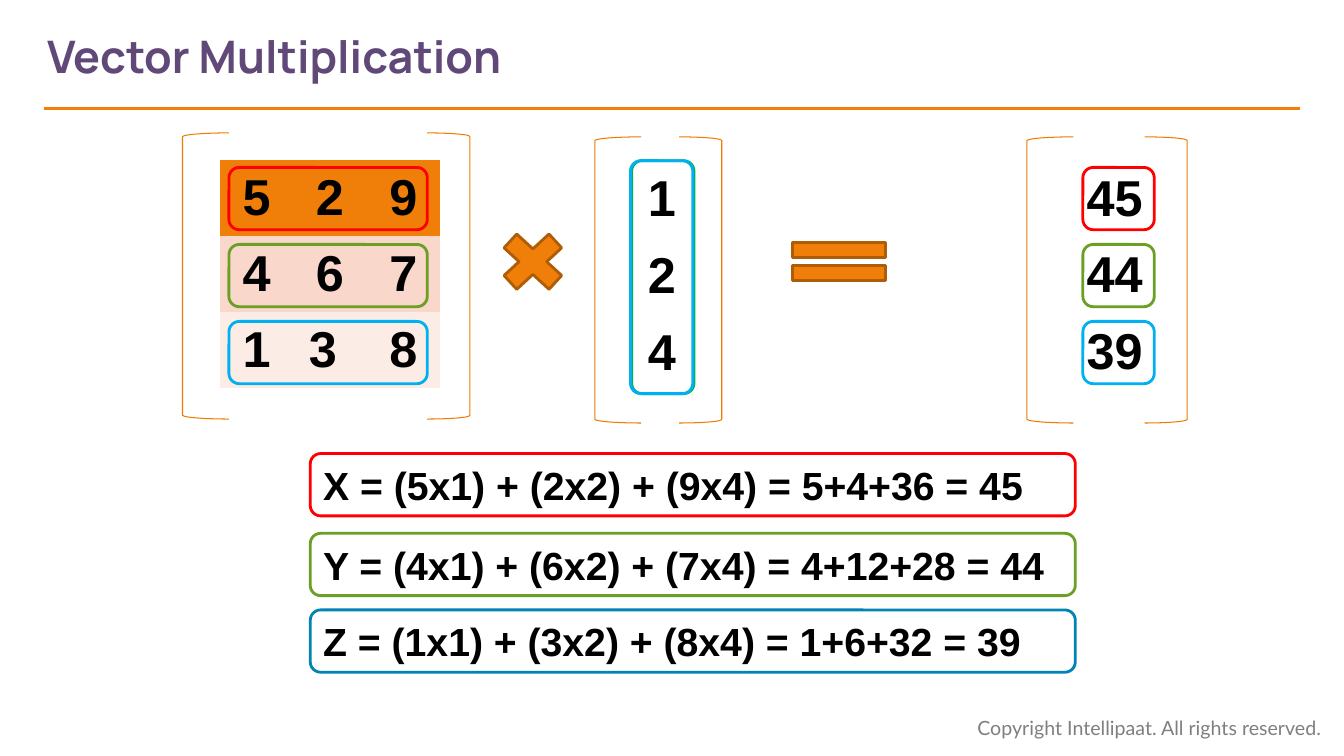
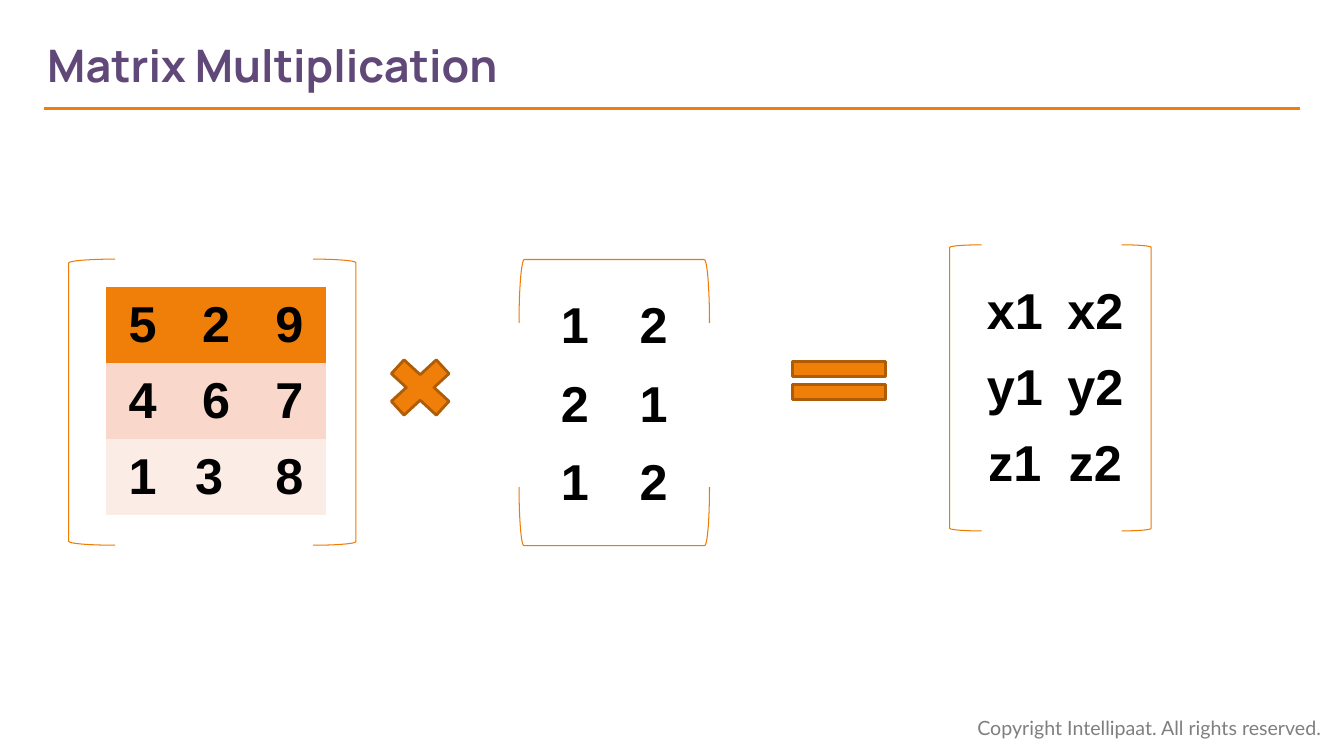
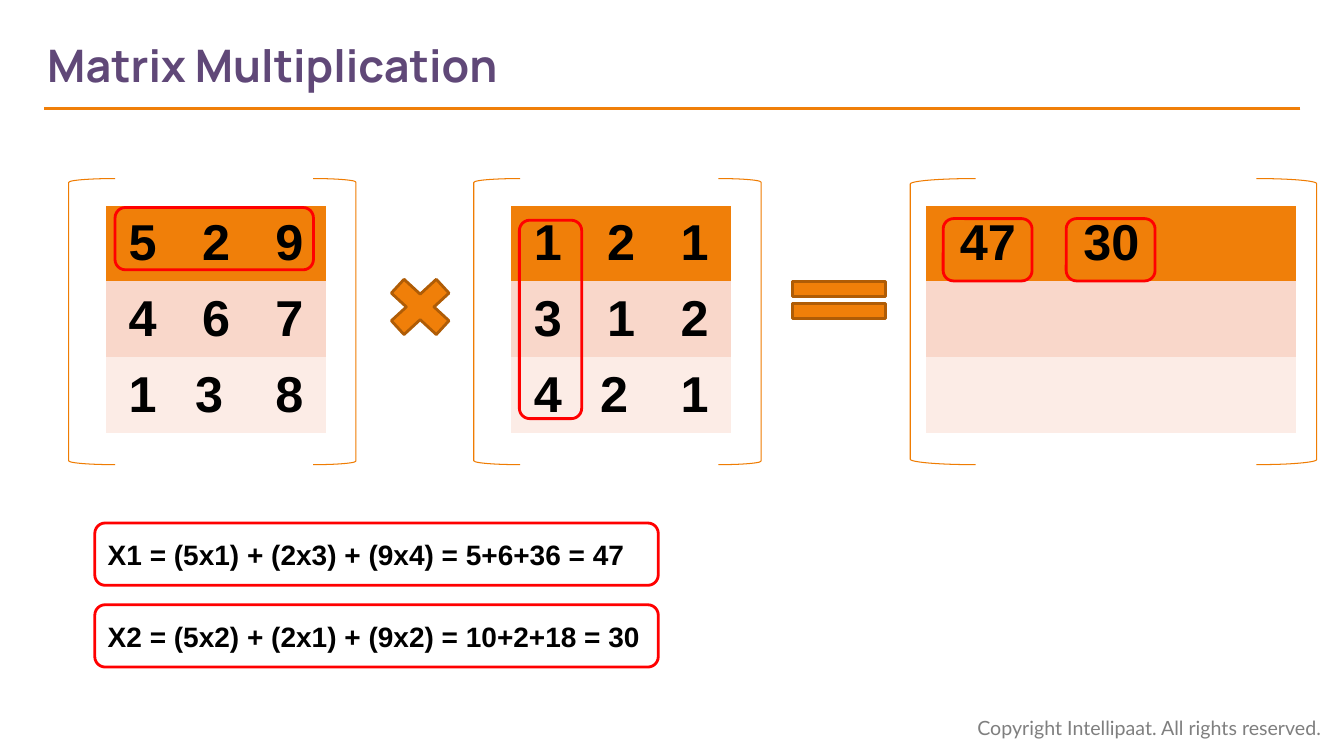
"""Build three slides that explain vector and matrix multiplication."""
from dataclasses import dataclass
from typing import Optional

from pptx import Presentation
from pptx.dml.color import RGBColor
from pptx.enum.shapes import MSO_CONNECTOR, MSO_SHAPE as Preset
from pptx.enum.text import MSO_ANCHOR as Anchor, MSO_AUTO_SIZE as AutoSize, PP_ALIGN as Align
from pptx.oxml.ns import qn
from pptx.oxml.xmlchemy import OxmlElement
from pptx.util import Cm, Pt

COLORS = {
    "title": "604878", "footer": "7F7F7F", "ink": "000000",
    "orange": "F07F09", "peach": "F9D7CA", "cream": "FCECE6",
    "bracket": "EF7C02", "operator edge": "AF5C06",
    "red": "FF0000", "olive": "6B9F25", "green": "00B050",
    "sky": "00B0F0", "teal": "0084B4",
}
SHADES = ("orange", "peach", "cream")
PLAIN_STYLE = "{2D5ABB26-0587-4C30-8999-92F81FD0307C}"
BRACKET_HEIGHT = 7.21
FRAME = 1.57
RIGHT_ARM_RATIO = 0.92
FACTOR = (("5", "2", "9"), ("4", "6", "7"), ("1", "3 ", "8"))


@dataclass(frozen=True)
class Brackets:
    left: float
    top: float
    width: float = 7.24
    arm: float = 1.17
    upright: bool = True


@dataclass(frozen=True)
class Matrix:
    left: float
    top: float
    rows: tuple
    brackets: Brackets
    column: float = 1.85
    row: float = 1.91
    shaded: bool = False


@dataclass(frozen=True)
class Frame:
    left: float
    top: float
    color: str = "red"
    width: float = FRAME
    height: float = FRAME
    equation: str = ""
    size: float = 28


@dataclass(frozen=True)
class Lesson:
    title: str
    title_top: float
    times: tuple
    equals: tuple
    matrices: tuple
    frames: tuple = ()


def rgb(name: str) -> RGBColor:
    return RGBColor.from_string(COLORS[name])


def write(target, text: str, *, size: float, font: str = "Arial", color: str = "ink",
          bold: bool = True, align=Align.LEFT) -> None:
    paragraph = target.paragraphs[0]
    paragraph.alignment = align
    run = paragraph.add_run()
    run.text = text
    run.font.name = font
    run.font.size = Pt(size)
    run.font.bold = bold
    run.font.color.rgb = rgb(color)


def draw(shapes, preset, left: float, top: float, width: float, height: float, *,
         line: str, weight: float = 2, fill: Optional[str] = None):
    outline = shapes.add_shape(preset, Cm(left), Cm(top), Cm(width), Cm(height))
    outline.shadow.inherit = False
    outline.line.color.rgb = rgb(line)
    outline.line.width = Pt(weight)
    if fill:
        outline.fill.solid()
        outline.fill.fore_color.rgb = rgb(fill)
    else:
        outline.fill.background()
    return outline


def draw_brackets(slide, pair: Brackets) -> None:
    shapes = slide.shapes.add_group_shape().shapes
    for preset, closing in ((Preset.LEFT_BRACKET, False), (Preset.RIGHT_BRACKET, True)):
        arm = pair.arm * RIGHT_ARM_RATIO if closing else pair.arm
        if pair.upright:
            left = pair.left + pair.width - arm if closing else pair.left
            draw(shapes, preset, left, pair.top, arm, BRACKET_HEIGHT,
                 line="bracket", weight=0.75)
        else:
            top = pair.top + BRACKET_HEIGHT - arm if closing else pair.top
            shift = (pair.width - arm) / 2
            turned = draw(shapes, preset, pair.left + shift, top - shift, arm, pair.width,
                          line="bracket", weight=0.75)
            turned.rotation = 90


def draw_matrix(slide, matrix: Matrix) -> None:
    draw_brackets(slide, matrix.brackets)
    count, across = len(matrix.rows), len(matrix.rows[0])
    holder = slide.shapes.add_table(count, across, Cm(matrix.left), Cm(matrix.top),
                                    Cm(matrix.column * across), Cm(matrix.row * count))
    for style in holder.element.iter(qn("a:tableStyleId")):
        style.text = PLAIN_STYLE
    grid = holder.table
    grid.first_row = grid.horz_banding = False
    for column in grid.columns:
        column.width = Cm(matrix.column)
    for r, numbers in enumerate(matrix.rows):
        grid.rows[r].height = Cm(matrix.row)
        for c, number in enumerate(numbers):
            cell = grid.cell(r, c)
            cell.vertical_anchor = Anchor.MIDDLE
            if matrix.shaded:
                cell.fill.solid()
                cell.fill.fore_color.rgb = rgb(SHADES[r])
            else:
                cell.fill.background()
            if number:
                write(cell.text_frame, number, size=36, align=Align.CENTER)


def draw_frame(slide, frame: Frame) -> None:
    box = draw(slide.shapes, Preset.FLOWCHART_ALTERNATE_PROCESS, frame.left, frame.top,
               frame.width, frame.height, line=frame.color)
    if frame.equation:
        box.text_frame.word_wrap = True
        write(box.text_frame, frame.equation, size=frame.size)


def set_title(slide, lesson: Lesson) -> None:
    title = slide.shapes.title
    title.left, title.top = Cm(1.19), Cm(lesson.title_top)
    title.width, title.height = Cm(24.05), Cm(2.13)
    heading = title.text_frame
    heading.auto_size = AutoSize.NONE
    heading.vertical_anchor = Anchor.MIDDLE
    heading.margin_left = 0
    write(heading, lesson.title, size=32, font="Manrope", color="title")


def furnish_layout(slide) -> None:
    footer = slide.shapes.add_textbox(Cm(24.38), Cm(17.91), Cm(9.32), Cm(0.86))
    footer.text_frame.word_wrap = True
    write(footer.text_frame, "Copyright Intellipaat. All rights reserved.",
          size=14, font="Lato", color="footer", bold=False)
    rule = slide.shapes.add_connector(MSO_CONNECTOR.STRAIGHT,
                                      Cm(32.77), Cm(2.74), Cm(1.12), Cm(2.74))
    rule.line.color.rgb = rgb("orange")
    rule.line.width = Pt(2.25)
    rule.element.spPr.append(OxmlElement("a:effectLst"))
    for part in (footer, rule):
        slide.slide_layout.shapes.element.append(part.element)


def build(slide, lesson: Lesson) -> None:
    set_title(slide, lesson)
    for matrix in lesson.matrices:
        draw_matrix(slide, matrix)
    for preset, place, size in ((Preset.MATH_MULTIPLY, lesson.times, (2.18, 2.01)),
                                (Preset.MATH_EQUAL, lesson.equals, (3.18, 1.6))):
        draw(slide.shapes, preset, *place, *size, line="operator edge", fill="orange")
    for frame in lesson.frames:
        draw_frame(slide, frame)


ROW_COLORS = ("red", "olive", "sky")
ROW_TOPS = (4.22, 6.16, 8.1)

LESSONS = (
    Lesson(
        "Vector Multiplication", 0.33, (12.34, 5.59), (19.56, 5.79),
        (
            Matrix(5.54, 4.04, FACTOR, Brackets(4.6, 3.35), shaded=True),
            Matrix(15.98, 4.06, (("1",), ("2",), ("4",)),
                   Brackets(14.99, 3.45, 3.2), column=1.4, row=1.93),
            Matrix(26.72, 4.04, (("45",), ("44",), ("39",)),
                   Brackets(25.88, 3.45, 4.04), column=2.74, row=1.93),
        ),
        (
            Frame(7.82, 11.43, "red", 19.28,
                  equation="X = (5x1) + (2x2) + (9x4) = 5+4+36 = 45"),
            Frame(7.82, 13.44, "olive", 19.28,
                  equation="Y = (4x1) + (6x2) + (7x4) = 4+12+28 = 44"),
            Frame(7.82, 15.37, "teal", 19.28,
                  equation="Z = (1x1) + (3x2) + (8x4) = 1+6+32 = 39"),
            Frame(15.92, 4.05, "green", height=5.87),
            Frame(15.89, 4.05, "sky", height=5.87),
            *(Frame(left, top, color, width)
              for left, width in ((5.77, 5), (27.29, 1.8))
              for top, color in zip(ROW_TOPS, ROW_COLORS)),
        ),
    ),
    Lesson(
        "Matrix Multiplication", 0.56, (9.5, 8.76), (19.56, 8.79),
        (
            Matrix(2.67, 7.24, FACTOR, Brackets(1.73, 6.53), shaded=True),
            Matrix(24.56, 6.91, (("x1", "x2"), ("y1", "y2"), ("z1", "z2")),
                   Brackets(23.93, 6.17, 5.08, 0.81), column=2.03),
            Matrix(13.49, 7.24, (("1", "2"), ("2", "1"), ("1", "2")),
                   Brackets(13.08, 6.54, 4.8, 1.6, upright=False), column=1.99, row=1.97),
        ),
    ),
    Lesson(
        "Matrix Multiplication", 0.56, (9.5, 6.73), (19.56, 6.76),
        (
            Matrix(2.67, 5.18, FACTOR, Brackets(1.73, 4.5), shaded=True),
            Matrix(12.88, 5.18, (("1", "2", "1"), ("3", "1", "2"), ("4", "2 ", "1")),
                   Brackets(11.94, 4.5), shaded=True),
            Matrix(23.34, 5.18, (("47", "30", ""), ("", "", ""), ("", "", "")),
                   Brackets(22.94, 4.5, 10.24, 1.65), column=3.11, shaded=True),
        ),
        (
            Frame(2.39, 13.18, width=14.2, size=20,
                  equation="X1 = (5x1) + (2x3) + (9x4) = 5+6+36 = 47"),
            Frame(2.39, 15.24, width=14.2, size=20,
                  equation="X2 = (5x2) + (2x1) + (9x2) = 10+2+18 = 30"),
            Frame(2.9, 5.23, width=5),
            Frame(13.09, 5.55, height=5),
            Frame(23.77, 5.51, width=2.24),
            Frame(26.87, 5.51, width=2.24),
        ),
    ),
)


def main() -> None:
    deck = Presentation()
    deck.slide_width, deck.slide_height = Cm(33.87), Cm(19.05)
    title_only = deck.slide_layouts[5]
    for index, lesson in enumerate(LESSONS):
        slide = deck.slides.add_slide(title_only)
        if index == 0:
            furnish_layout(slide)
        build(slide, lesson)
    deck.save("out.pptx")


if __name__ == "__main__":
    main()
